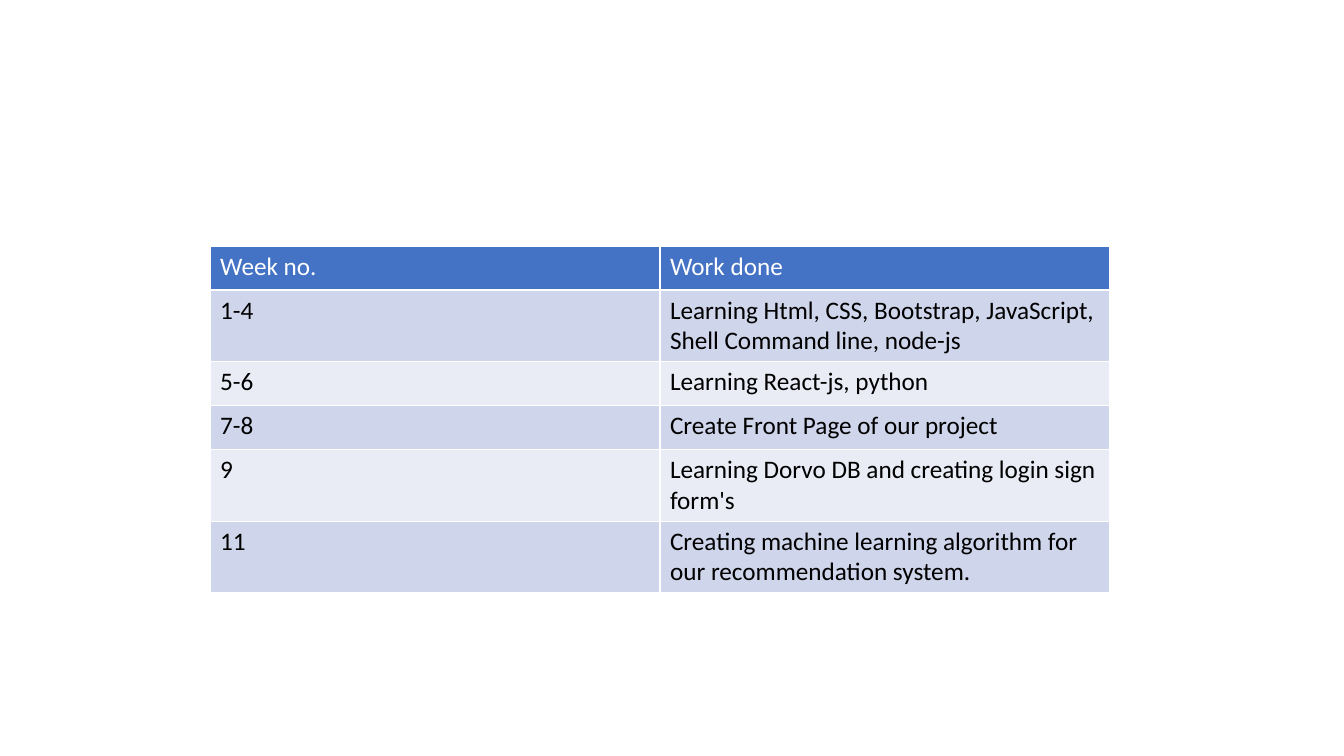
"""Build a slide with a table of the work done in each project week."""
from pptx import Presentation
from pptx.dml.color import RGBColor
from pptx.util import Pt

PX = 914400 / 100.8
WHITE = RGBColor(0xFF, 0xFF, 0xFF)
BLACK = RGBColor(0x00, 0x00, 0x00)
HEADER_BLUE = RGBColor(0x44, 0x72, 0xC4)
BAND_DARK = RGBColor(0xCF, 0xD5, 0xEA)
BAND_LIGHT = RGBColor(0xE9, 0xEB, 0xF5)

ONE_LINE, TWO_LINES = 44, 71
SCHEDULE = [
    ("Week no.", "Work done", ONE_LINE),
    ("1-4", "Learning Html, CSS, Bootstrap, JavaScript, Shell Command line, node-js", TWO_LINES),
    ("5-6", "Learning React-js, python", ONE_LINE),
    ("7-8", "Create Front Page of our project", ONE_LINE),
    ("9", "Learning Dorvo DB and creating login sign form's", TWO_LINES),
    ("11", "Creating machine learning algorithm for our recommendation system.", TWO_LINES),
]


def px(length):
    return round(length * PX)


presentation = Presentation()
presentation.slide_width = px(1344)
presentation.slide_height = px(756)
slide = presentation.slides.add_slide(presentation.slide_layouts[6])

table_height = sum(height for _, _, height in SCHEDULE)
table = slide.shapes.add_table(
    len(SCHEDULE), 2, px(210), px(246), px(900), px(table_height)
).table

for row_index, (weeks, work, height) in enumerate(SCHEDULE):
    table.rows[row_index].height = px(height)
    if row_index == 0:
        fill_color, text_color = HEADER_BLUE, WHITE
    else:
        fill_color, text_color = (BAND_DARK if row_index % 2 else BAND_LIGHT), BLACK
    for column_index, text in enumerate((weeks, work)):
        cell = table.cell(row_index, column_index)
        cell.fill.solid()
        cell.fill.fore_color.rgb = fill_color
        run = cell.text_frame.paragraphs[0].add_run()
        run.text = text
        run.font.name = "Calibri"
        run.font.size = Pt(18)
        run.font.bold = False
        run.font.color.rgb = text_color

presentation.save("out.pptx")
